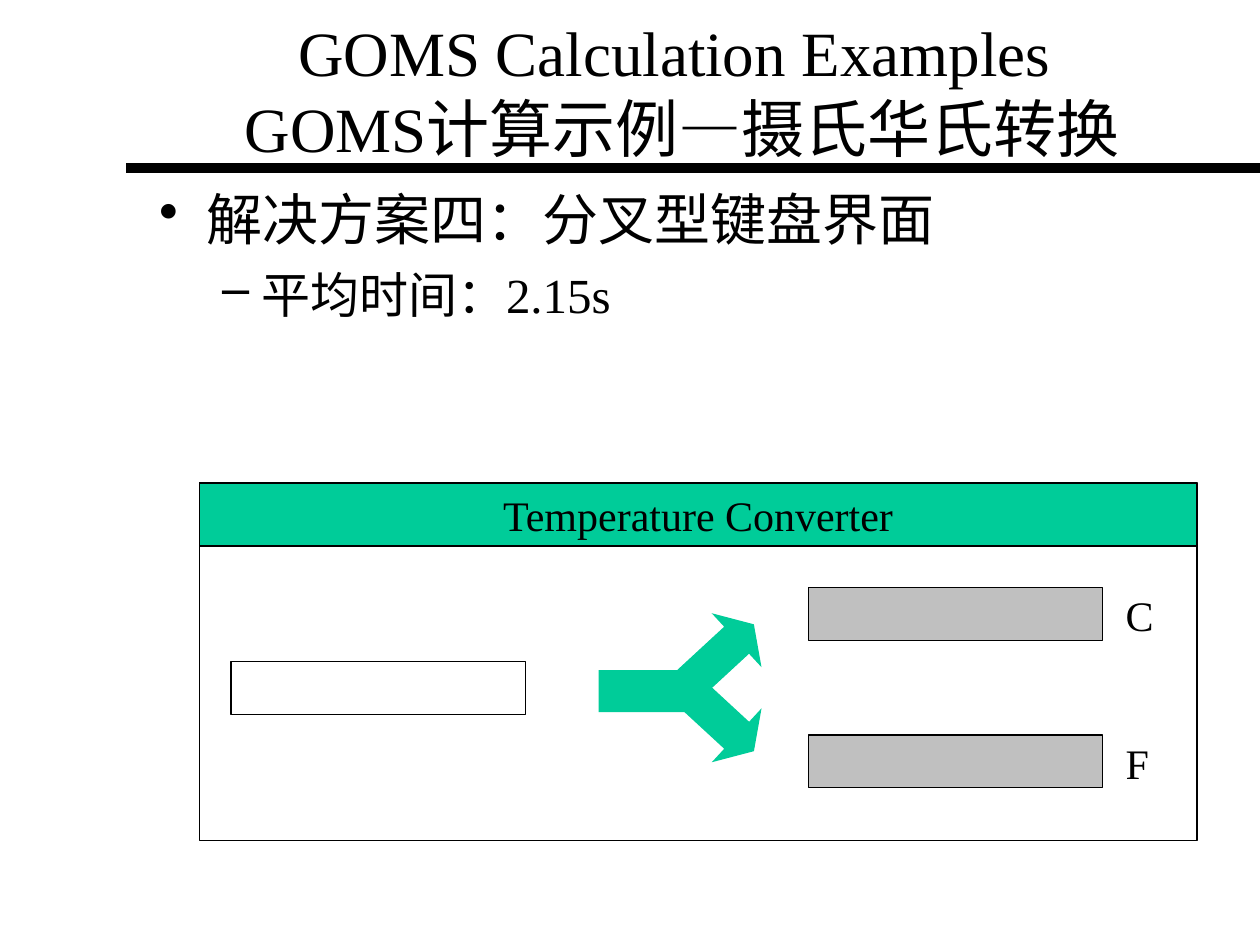
from lxml import etree
from pptx import Presentation
from pptx import util as u
from pptx.dml.color import RGBColor
from pptx.enum import shapes, text
from pptx.oxml import ns

BLACK, GREEN, GREY = "000000", "00CC99", "C0C0C0"


def colour(value):
    return RGBColor.from_string(value)


class Painter:
    """Holds the text style and the page being built."""

    font = "Times New Roman"
    ink = BLACK

    def __init__(self, page):
        self.page = page

    def add_span(self, para, words, size):
        span = para.add_run()
        span.text = words
        span.font.name = self.font
        span.font.size = u.Pt(size)
        span.font.color.rgb = colour(self.ink)

    def text_box(self, left, top, width, height, anchor=text.MSO_ANCHOR.TOP):
        frame = self.page.shapes.add_textbox(
            u.Cm(left), u.Cm(top), u.Cm(width), u.Cm(height)).text_frame
        frame.word_wrap = True
        frame.vertical_anchor = anchor
        return frame

    def bullet(self, para, mark, margin, hang):
        """Give a paragraph a bullet and a hanging indent, in cm."""
        props = para._p.get_or_add_pPr()
        props.set("marL", str(u.Cm(margin)))
        props.set("indent", str(-u.Cm(hang)))
        etree.SubElement(props, ns.qn("a:buChar")).set("char", mark)

    def shape(self, kind, left, top, width, height, fill=None, outlined=True):
        box = self.page.shapes.add_shape(
            kind, u.Cm(left), u.Cm(top), u.Cm(width), u.Cm(height))
        box.shadow.inherit = False
        if fill:
            box.fill.solid()
            box.fill.fore_color.rgb = colour(fill)
        else:
            box.fill.background()
        if outlined:
            box.line.color.rgb = colour(self.ink)
            box.line.width = u.Pt(0.75)
        else:
            box.line.fill.background()
        return box

    def rect(self, *place, **look):
        return self.shape(shapes.MSO_SHAPE.RECTANGLE, *place, **look)

    def arrow(self, left, top, width, height, angle):
        arrow = self.shape(shapes.MSO_SHAPE.RIGHT_ARROW, left, top, width, height,
                           fill=GREEN, outlined=False)
        arrow.adjustments[0] = 0.5
        arrow.adjustments[1] = 0.32
        arrow.rotation = angle

    def rule(self, left, right, y, weight):
        line = self.page.shapes.add_connector(
            shapes.MSO_CONNECTOR.STRAIGHT, u.Cm(left), u.Cm(y), u.Cm(right), u.Cm(y))
        line.line.color.rgb = colour(self.ink)
        line.line.width = u.Pt(weight)
        etree.SubElement(line._element.spPr, ns.qn("a:effectLst"))


def add_heading(painter):
    para = painter.text_box(2.96, 0.21, 21.59, 3.18, text.MSO_ANCHOR.MIDDLE).paragraphs[0]
    para.alignment = text.PP_ALIGN.CENTER
    painter.add_span(para, "GOMS Calculation Examples ", 36)
    para.add_line_break()
    painter.add_span(para, "GOMS计算示例—摄氏华氏转换", 36)


def add_points(painter):
    frame = painter.text_box(2.96, 3.6, 21.59, 15.44)
    solution = frame.paragraphs[0]
    painter.bullet(solution, "•", 0.95, 0.95)
    painter.add_span(solution, "解决方案四：分叉型键盘界面", 32)
    timing = frame.add_paragraph()
    timing.level = 1
    timing.space_before = u.Pt(7)
    painter.bullet(timing, "–", 2.06, 0.79)
    painter.add_span(timing, "平均时间：2.15s", 28)


def add_converter(painter):
    left, top, width = 4.02, 9.74, 20.11
    bar_width, bar_height = 5.93, 1.06
    outputs = {"C": 11.85, "F": 14.82}

    painter.rect(4.66, 13.34, bar_width, bar_height)
    for bar_top in outputs.values():
        painter.rect(16.3, bar_top, bar_width, bar_height, fill=GREY)
    for arrow_top, angle in ((12.49, -42.7), (13.76, 42.7)):
        painter.arrow(13.55, arrow_top, 1.9, 1.48, angle)
    painter.rect(12.07, 13.51, 1.9, 0.85, fill=GREEN, outlined=False)
    painter.rect(left, top, width, 7.2)

    for unit, bar_top in outputs.items():
        frame = painter.text_box(22.44, bar_top - 0.21, 1.06, 1.27)
        frame.margin_top = u.Cm(0.25)
        painter.add_span(frame.paragraphs[0], unit, 24)

    frame = painter.rect(left, top, width, 1.27, fill=GREEN).text_frame
    frame.word_wrap = False
    frame.vertical_anchor = text.MSO_ANCHOR.MIDDLE
    frame.paragraphs[0].alignment = text.PP_ALIGN.CENTER
    painter.add_span(frame.paragraphs[0], "Temperature Converter", 24)


def main():
    deck = Presentation()
    deck.slide_width, deck.slide_height = u.Cm(25.4), u.Cm(19.05)
    painter = Painter(deck.slides.add_slide(deck.slide_layouts[6]))
    add_heading(painter)
    add_points(painter)
    painter.rule(2.54, 25.4, 3.39, 6)
    add_converter(painter)
    deck.save("out.pptx")


if __name__ == "__main__":
    main()
